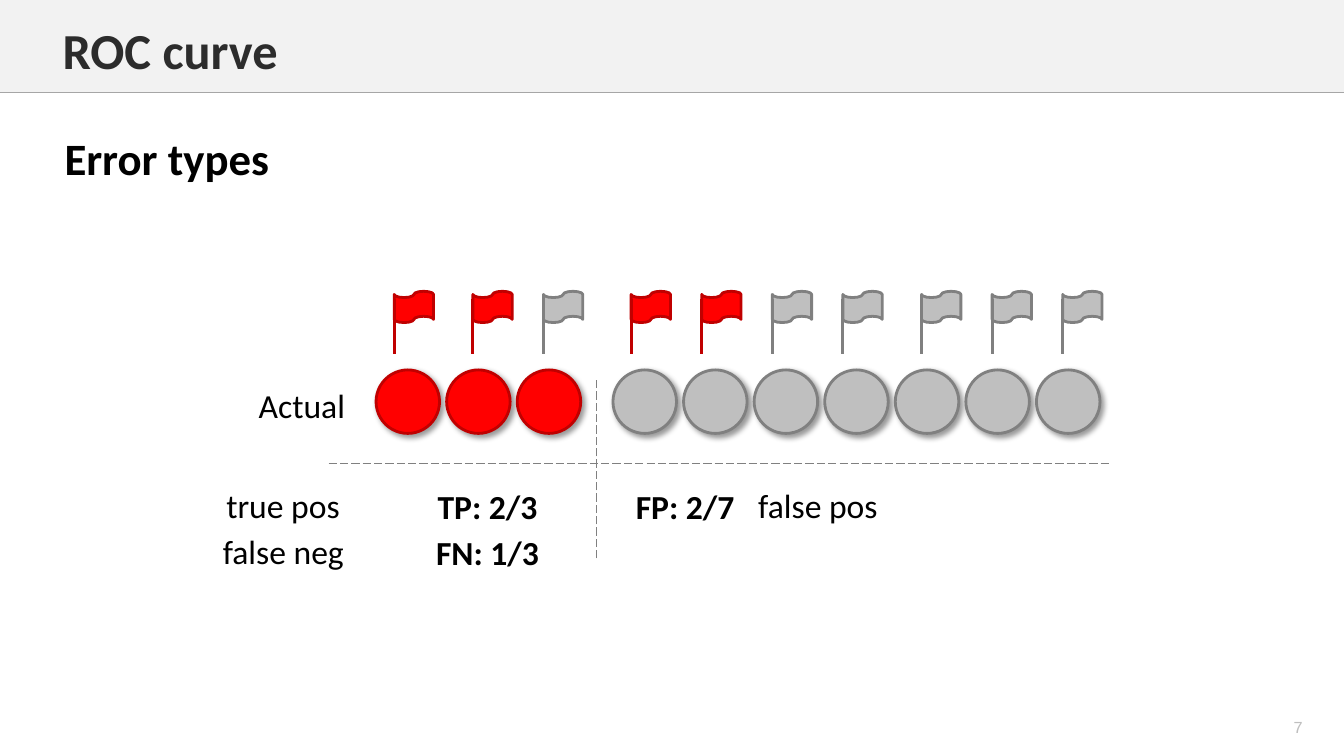
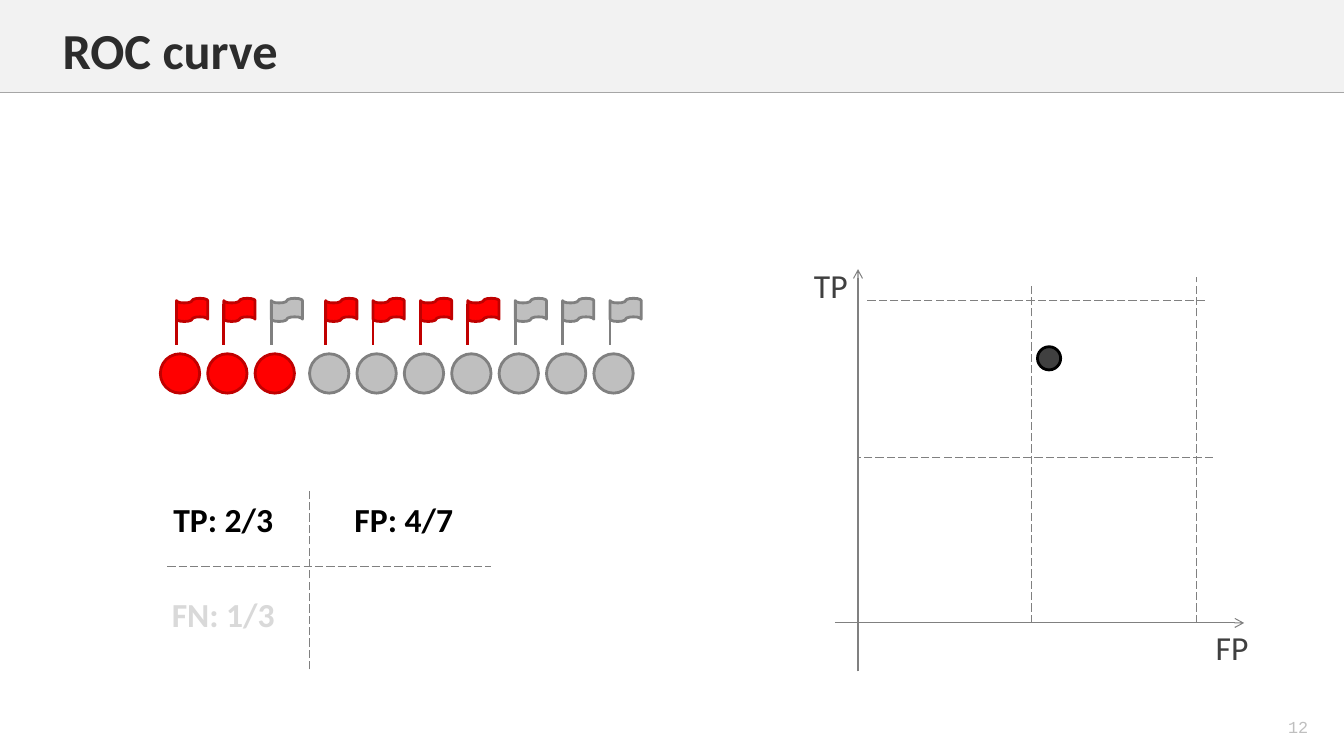
from lxml import etree
from pptx import Presentation
from pptx import util as u
from pptx.dml.color import RGBColor
from pptx.enum import dml, shapes, text
from pptx.oxml.ns import qn

BLACK = "000000"
GREY = "808080"
AXIS_TEXT = "404040"
FADED = "D9D9D9"
RED_STYLE = ("FF0000", "C00000")
GREY_STYLE = ("BFBFBF", GREY)
LEFT = text.PP_ALIGN.LEFT
CENTER = text.PP_ALIGN.CENTER
RIGHT = text.PP_ALIGN.RIGHT
CIRCLE = shapes.MSO_SHAPE.FLOWCHART_CONNECTOR
TAPE = shapes.MSO_SHAPE.FLOWCHART_PUNCHED_TAPE


def color(hex_string):
    return RGBColor.from_string(hex_string)


def inches(*lengths):
    return [u.Inches(length) for length in lengths]


def style_font(paragraph, size, hex_string, bold=False, name="Calibri"):
    paragraph.font.size = u.Pt(size)
    paragraph.font.color.rgb = color(hex_string)
    paragraph.font.bold = bold
    paragraph.font.name = name


def add_text(container, wording, box, size=24, hex_string=BLACK, bold=False,
             align=CENTER, name="Calibri"):
    frame = container.shapes.add_textbox(*inches(*box)).text_frame
    frame.word_wrap = True
    frame.vertical_anchor = text.MSO_ANCHOR.MIDDLE
    frame.margin_left = frame.margin_right = 0
    frame.margin_top = frame.margin_bottom = 0
    paragraph = frame.paragraphs[0]
    paragraph.text = wording
    paragraph.alignment = align
    style_font(paragraph, size, hex_string, bold, name)


def add_filled(container, kind, box, fill, outline=None):
    shape = container.shapes.add_shape(kind, *inches(*box))
    shape.shadow.inherit = False
    shape.fill.solid()
    shape.fill.fore_color.rgb = color(fill)
    if outline:
        shape.line.color.rgb = color(outline)
        shape.line.width = u.Pt(2)
    else:
        shape.line.fill.background()
    return shape


def add_line(container, start, end, hex_string=GREY, width=0.75,
             dashed=False, arrow=False):
    line = container.shapes.add_connector(
        shapes.MSO_CONNECTOR.STRAIGHT, *inches(*start, *end))
    line.line.color.rgb = color(hex_string)
    line.line.width = u.Pt(width)
    if dashed:
        line.line.dash_style = dml.MSO_LINE.LONG_DASH
    if arrow:
        etree.SubElement(line.get_or_add_ln(), qn("a:tailEnd"), type="arrow")
    etree.SubElement(line.element.spPr, qn("a:effectLst"))
    return line


def add_shadow(shape):
    effects = shape.element.spPr.find(qn("a:effectLst"))
    shadow = etree.SubElement(
        effects, qn("a:outerShdw"), blurRad=str(u.Pt(4)), dist=str(u.Pt(3)),
        dir="2700000", algn="tl", rotWithShape="0")
    shadow_color = etree.SubElement(shadow, qn("a:srgbClr"), val=BLACK)
    etree.SubElement(shadow_color, qn("a:alpha"), val="40000")


def add_flag(slide, left, top, width, height, style):
    group = slide.shapes.add_group_shape()
    add_filled(group, TAPE, (left, top, width, height), *style)
    add_line(group, (left, top + height / 4), (left, top + 2 * height),
             style[1], 2)


def add_cases(slide, starts, step, top, diameter, flag_top, flag_size,
              flag_offsets, flagged, shadowed=False):
    positives = [starts[0] + step * i for i in range(3)]
    negatives = [starts[1] + step * i for i in range(7)]
    for i, left in enumerate(positives + negatives):
        style = RED_STYLE if i < len(positives) else GREY_STYLE
        circle = add_filled(slide, CIRCLE, (left, top, diameter, diameter), *style)
        if shadowed:
            add_shadow(circle)
        flag_style = RED_STYLE if i in flagged else GREY_STYLE
        add_flag(slide, left + flag_offsets[i], flag_top, *flag_size, flag_style)


def add_rate(slide, wording, left, top, hex_string=BLACK):
    add_text(slide, wording, (left, top, 1.41, 0.78), hex_string=hex_string,
             bold=True)


def prepare_layout(presentation):
    layout = presentation.slide_layouts[5]
    for placeholder in list(layout.placeholders):
        if placeholder.placeholder_format.idx != 0:
            layout.shapes.element.remove(placeholder.element)
    title = layout.placeholders[0]
    title.left, title.top, title.width, title.height = inches(
        0.52, 0.13, 11.89, 0.71)
    return layout


def add_layout_band(slide):
    band = add_filled(slide, shapes.MSO_SHAPE.RECTANGLE, (0, 0, 13.33, 0.92),
                      "F2F2F2")
    rule = add_line(slide, (0, 0.92), (13.33, 0.92), "A6A6A6", 1)
    tree = slide.slide_layout.shapes.element
    for position, shape in enumerate((band, rule), start=2):
        tree.insert(position, shape.element)


def add_slide(presentation, layout, number):
    slide = presentation.slides.add_slide(layout)
    frame = slide.shapes.title.text_frame
    frame.auto_size = text.MSO_AUTO_SIZE.NONE
    paragraph = frame.paragraphs[0]
    paragraph.text = "ROC curve"
    paragraph.alignment = LEFT
    style_font(paragraph, 36, "2C2C2C", True)
    add_text(slide, number, (12.44, 7.06, 0.87, 0.31), 12, "BFBFBF",
             name="Courier New")
    return slide


def fill_error_types(slide):
    add_text(slide, "Error types", (0.64, 1.29, 8.3, 0.54), 32, bold=True,
             align=LEFT)
    shifted = {1, 2, 7, 8, 9}
    add_cases(slide, (3.73, 6.08), 0.7, 3.67, 0.63, 2.89, (0.39, 0.31),
              [0.26 if i in shifted else 0.18 for i in range(10)],
              {0, 1, 3, 4}, shadowed=True)
    add_line(slide, (3.26, 4.6), (11, 4.6), dashed=True)
    add_line(slide, (5.92, 5.54), (5.92, 3.74), dashed=True)
    add_text(slide, "Actual", (2.33, 3.67, 1.33, 0.7))
    add_text(slide, "true pos", (1.93, 4.81, 1.44, 0.4), align=RIGHT)
    add_text(slide, "false neg", (1.97, 5.27, 1.44, 0.4), align=RIGHT)
    add_text(slide, "false pos", (7.52, 4.81, 1.98, 0.4), align=LEFT)
    add_rate(slide, "TP: 2/3", 4.13, 4.63)
    add_rate(slide, "FN: 1/3", 4.13, 5.09)
    add_rate(slide, "FP: 2/7", 6.09, 4.63)


def add_roc_plot(slide):
    plot = slide.shapes.add_group_shape()
    add_line(plot, (8.28, 6.18), (12.34, 6.18), arrow=True)
    add_line(plot, (8.51, 6.66), (8.51, 2.67), arrow=True)
    add_text(plot, "FP", (11.71, 6.26, 1.02, 0.31), hex_string=AXIS_TEXT)
    add_text(plot, "TP", (7.73, 2.67, 1.02, 0.31), hex_string=AXIS_TEXT)
    for x, top in ((10.23, 2.82), (11.87, 2.75)):
        add_line(plot, (x, 6.18), (x, top), dashed=True)
    for y, left, right in ((2.98, 8.59, 11.95), (4.54, 8.51, 12.03)):
        add_line(plot, (right, y), (left, y), dashed=True)
    add_filled(plot, CIRCLE, (10.29, 3.44, 0.23, 0.23), AXIS_TEXT, BLACK)


def fill_roc_point(slide):
    add_cases(slide, (1.59, 3.07), 0.47, 3.51, 0.39, 2.96, (0.31, 0.23),
              [0.16] * 10, {0, 1, 3, 4, 5, 6})
    add_line(slide, (3.07, 6.64), (3.07, 4.84), dashed=True)
    add_line(slide, (1.66, 5.62), (4.87, 5.62), dashed=True)
    add_rate(slide, "TP: 2/3", 1.51, 4.76)
    add_rate(slide, "FN: 1/3", 1.51, 5.7, FADED)
    add_rate(slide, "FP: 4/7", 3.3, 4.76)
    add_roc_plot(slide)


def main():
    presentation = Presentation()
    presentation.slide_width, presentation.slide_height = inches(13.33, 7.5)
    layout = prepare_layout(presentation)
    error_types = add_slide(presentation, layout, "7")
    add_layout_band(error_types)
    fill_error_types(error_types)
    fill_roc_point(add_slide(presentation, layout, "12"))
    presentation.save("out.pptx")


if __name__ == "__main__":
    main()
